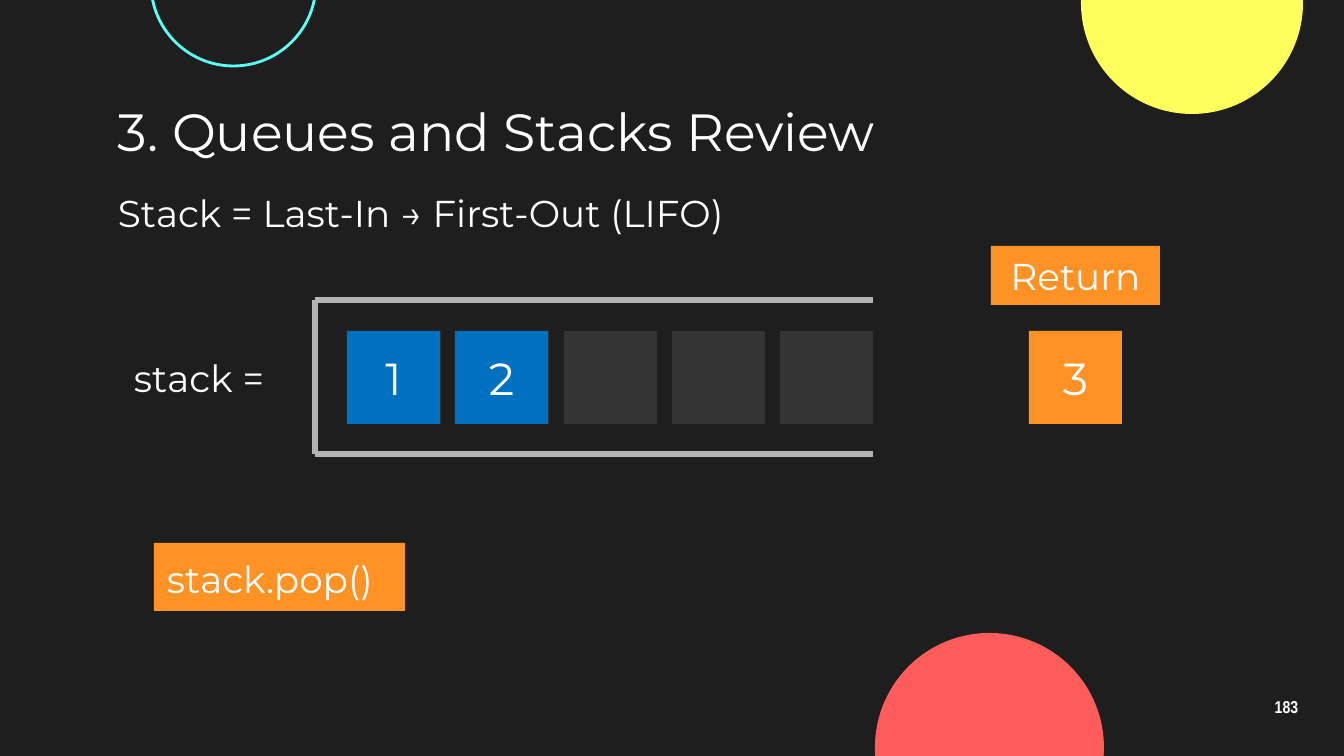
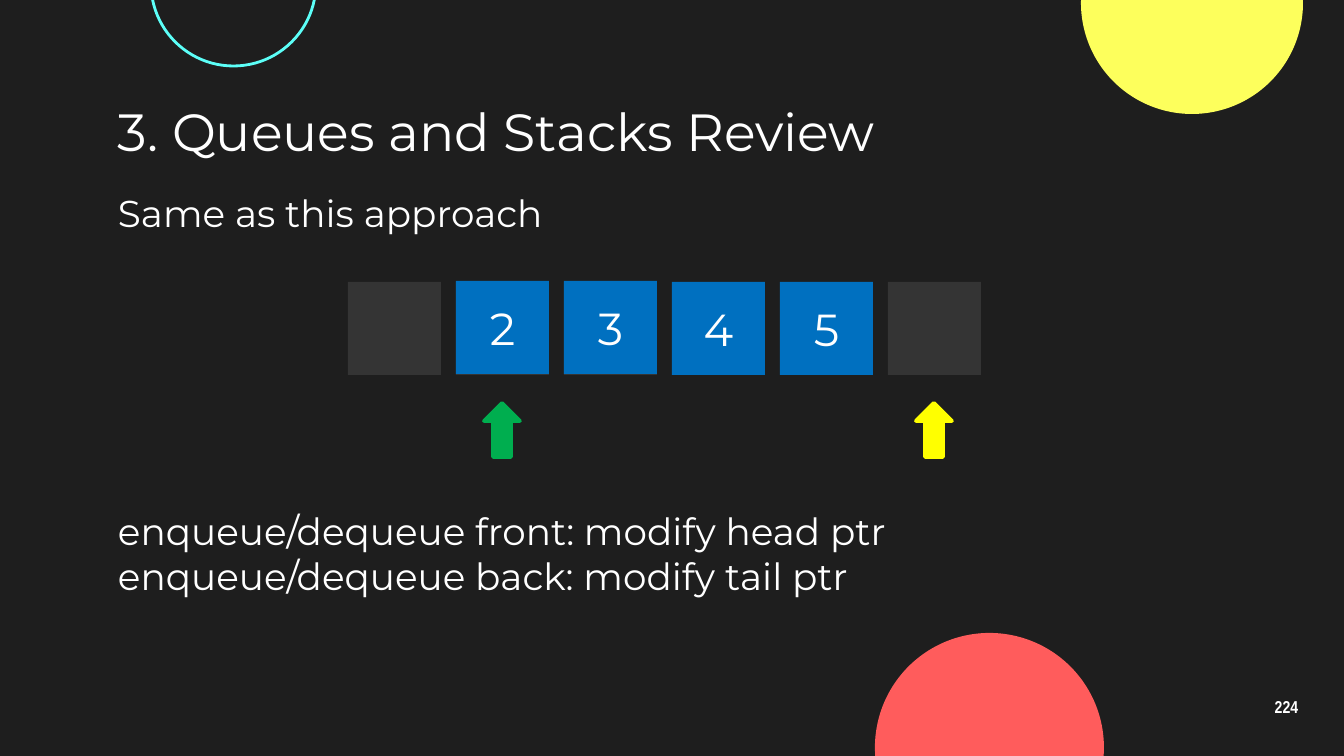
from lxml import etree
from pptx import Presentation
from pptx.dml.color import RGBColor
from pptx.enum.shapes import MSO_CONNECTOR as CONN, MSO_SHAPE as SHAPE
from pptx.enum.text import MSO_ANCHOR as ANCHOR, PP_ALIGN as ALIGN
from pptx.oxml.ns import qn
from pptx.util import Pt

EMU_PER_PX = 914400 / 134.4
WIDTH, HEIGHT = 1344, 756

BACKGROUND = RGBColor(0x1E, 0x1E, 0x1E)
WHITE = RGBColor(0xFF, 0xFF, 0xFF)
LEMON = RGBColor(0xFD, 0xFF, 0x5C)
CYAN = RGBColor(0x5C, 0xFF, 0xF8)
CORAL = RGBColor(0xFF, 0x5C, 0x5C)
SLOT = RGBColor(0x34, 0x34, 0x34)
BLUE = RGBColor(0x00, 0x70, 0xC0)
ORANGE = RGBColor(0xFF, 0x92, 0x25)
GREY = RGBColor(0xB3, 0xB3, 0xB3)
GREEN = RGBColor(0x00, 0xAE, 0x4F)
YELLOW = RGBColor(0xFF, 0xFF, 0x00)

FONT = "Montserrat"
NUMBER_FONT = "Arial Narrow"
BODY, TITLE, VALUE, NUMBER = 20, 28, 24, 9.2
INSET = 13
CELL, PITCH = 93, 108
ROW_LEFT = 348


def px(n):
    return round(n * EMU_PER_PX)


def write(s, text, size, align=ALIGN.LEFT, anchor=ANCHOR.TOP, inset=INSET,
          font=FONT, bold=False, spacing=None):
    tf = s.text_frame
    tf.word_wrap = True
    tf.vertical_anchor = anchor
    tf.margin_left = tf.margin_right = px(INSET)
    tf.margin_top = tf.margin_bottom = px(inset)
    tf.text = text
    for p in tf.paragraphs:
        p.alignment = align
        p.line_spacing = spacing
        for r in p.runs:
            r.font.name = font
            r.font.size = Pt(size)
            r.font.bold = bold
            r.font.color.rgb = WHITE


def add_text(slide, box, text, size=BODY, **style):
    s = slide.shapes.add_textbox(*map(px, box))
    write(s, text, size, **style)


def add_shape(slide, kind, box, fill=None, line=None, weight=1):
    s = slide.shapes.add_shape(kind, *map(px, box))
    s.shadow.inherit = False
    if fill is None:
        s.fill.background()
    else:
        s.fill.solid()
        s.fill.fore_color.rgb = fill
    if line is None:
        s.line.fill.background()
    else:
        s.line.color.rgb = line
        s.line.width = Pt(weight)
    return s


def add_rule(slide, x1, y1, x2, y2):
    s = slide.shapes.add_connector(CONN.STRAIGHT, px(x1), px(y1), px(x2), px(y2))
    s.line.color.rgb = GREY
    s.line.width = Pt(3)
    etree.SubElement(s._element.spPr, qn("a:effectLst"))


def add_cell(slide, left, top, fill, text=None):
    s = add_shape(slide, SHAPE.RECTANGLE, (left, top, CELL, CELL), fill)
    if text:
        write(s, text, VALUE, ALIGN.CENTER, ANCHOR.MIDDLE, inset=7)


def add_label(slide, box, text, **style):
    s = add_shape(slide, SHAPE.RECTANGLE, box, ORANGE)
    write(s, text, BODY, **style)


def add_slots(slide, left, top, indices):
    for i in indices:
        add_cell(slide, left + i * PITCH, top, SLOT)


def add_values(slide, left, top, values):
    for i, value in enumerate(values):
        add_cell(slide, left + i * PITCH, top, BLUE, value)


def add_open_frame(slide, left, top, width, height):
    right, bottom = left + width, top + height
    add_rule(slide, left, top, right, top)
    add_rule(slide, left, top, left, bottom)
    add_rule(slide, left, bottom, right, bottom)


def add_pointer(slide, left, top, index, color):
    box = (left + index * PITCH + 28, top, 36, 54)
    add_shape(slide, SHAPE.UP_ARROW, box, color, color, 2)


def add_base_slide(prs, number, subtitle):
    slide = prs.slides.add_slide(prs.slide_layouts[6])
    add_shape(slide, SHAPE.OVAL, (1081, -108, 222, 222), LEMON)
    add_shape(slide, SHAPE.OVAL, (151, -99, 165, 165), line=CYAN, weight=1.5)
    add_shape(slide, SHAPE.OVAL, (875, 633, 229, 229), CORAL)
    add_text(slide, (1246, 685, 81, 46), number, NUMBER, align=ALIGN.CENTER,
             anchor=ANCHOR.MIDDLE, font=NUMBER_FONT, bold=True, spacing=0.9)
    add_text(slide, (105, 177, 1160, 69), subtitle)
    add_text(slide, (105, 96, 1134, 69), "3. Queues and Stacks Review", TITLE,
             anchor=ANCHOR.MIDDLE)
    return slide


def add_stack_slide(prs):
    slide = add_base_slide(prs, "183", "Stack = Last-In → First-Out (LIFO)")
    top = 331
    add_slots(slide, ROW_LEFT, top, range(5))
    add_values(slide, ROW_LEFT - 1, top, "12")
    add_cell(slide, 1029, top, ORANGE, "3")
    add_open_frame(slide, 315, 300, 558, 154)
    add_text(slide, (121, 342, 176, 69), "stack =")
    add_label(slide, (154, 543, 251, 68), "stack.pop()")
    add_label(slide, (991, 246, 169, 59), "Return", align=ALIGN.CENTER, inset=7)


def add_queue_slide(prs):
    slide = add_base_slide(prs, "224", "Same as this approach")
    top = 282
    add_slots(slide, ROW_LEFT, top, (0, 1, 2, 5))
    add_values(slide, ROW_LEFT + PITCH, top - 1, "23")
    add_values(slide, ROW_LEFT + 3 * PITCH, top, "45")
    for index, color in ((1, GREEN), (5, YELLOW)):
        add_pointer(slide, ROW_LEFT, top + 121, index, color)
    add_text(slide, (105, 495, 1160, 69),
             "enqueue/dequeue front: modify head ptr\n"
             "enqueue/dequeue back: modify tail ptr")


def main():
    prs = Presentation()
    prs.slide_width, prs.slide_height = px(WIDTH), px(HEIGHT)
    fill = prs.slide_master.background.fill
    fill.solid()
    fill.fore_color.rgb = BACKGROUND
    add_stack_slide(prs)
    add_queue_slide(prs)
    prs.save("out.pptx")


if __name__ == "__main__":
    main()
